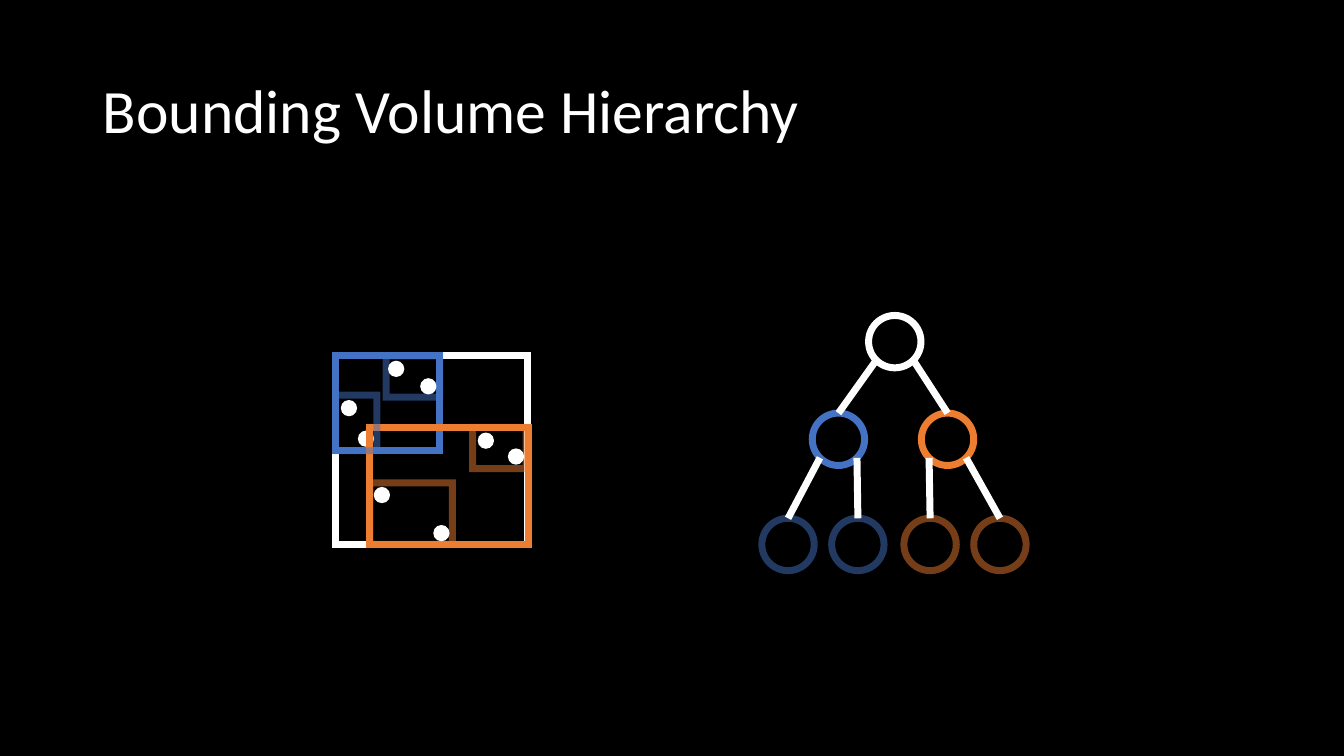
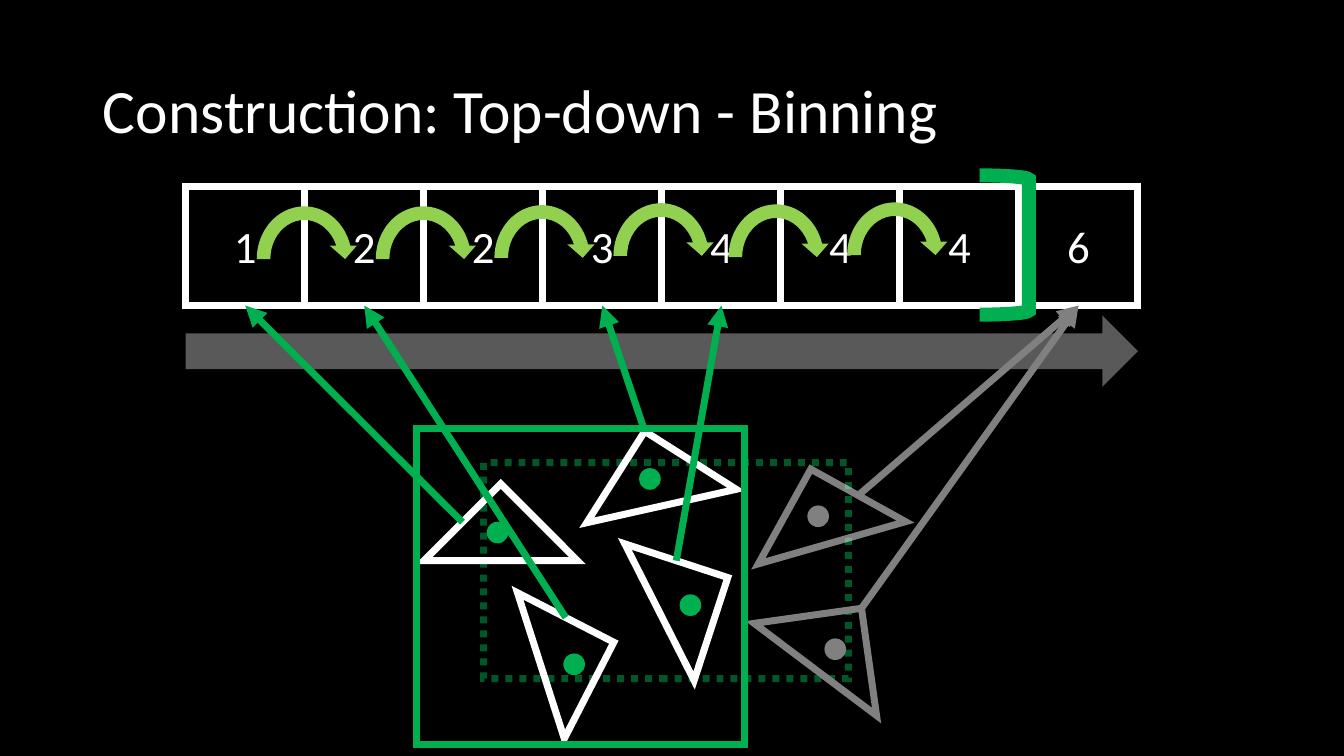
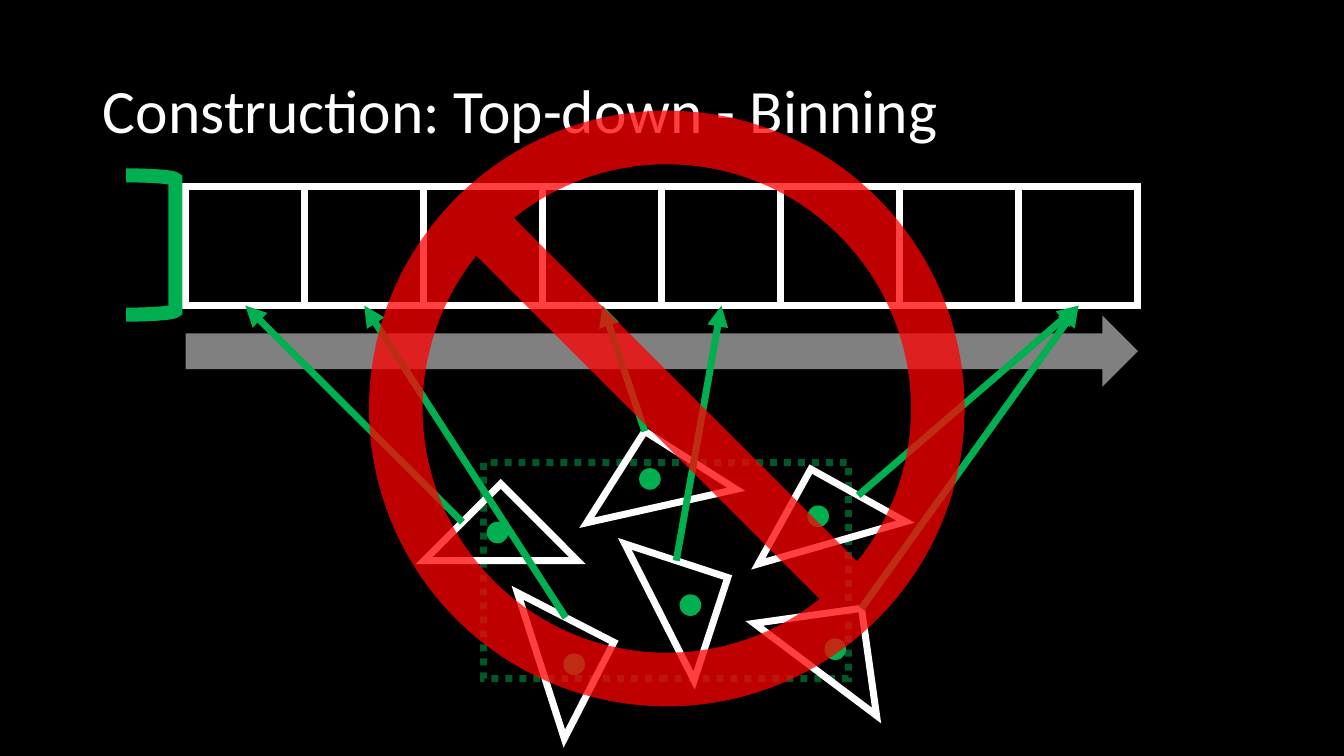
from dataclasses import dataclass
from math import cos, radians, sin, sqrt
from typing import Optional

from lxml.etree import SubElement
from pptx import Presentation
from pptx.dml.color import RGBColor
from pptx.dml.fill import FillFormat
from pptx.enum.shapes import MSO_CONNECTOR, MSO_SHAPE
from pptx.enum.text import MSO_ANCHOR, MSO_AUTO_SIZE, PP_ALIGN
from pptx.oxml.ns import qn
from pptx.shapes.autoshape import Shape
from pptx.slide import Slide
from pptx.util import Cm, Pt

BLACK, WHITE, GREY, DARK_GREY = "000000", "FFFFFF", "808080", "595959"
BLUE, ORANGE, GREEN, LIME, RED = "4472C4", "ED7D31", "00B050", "92D050", "FF0000"
FONT = "Calibri"
NODE_SIZE = 1.32
POINT_SIZE = 0.41
CELL_SIZE, CELL_LEFT, CELL_TOP, CELL_COUNT = 3.0, 4.68, 4.7, 8
TRIANGLE_WIDTH, TRIANGLE_HEIGHT = 3.86, 1.93
CENTROID_SIZE = 0.51


@dataclass(frozen=True)
class Box:
    left: float
    top: float
    width: float
    height: float


@dataclass(frozen=True)
class Stroke:
    colour: str
    width: float = 5
    alpha: int = 100
    dash: Optional[str] = None


@dataclass(frozen=True)
class TreeNode:
    left: float
    top: float
    stroke: Stroke
    parent: Optional[int] = None
    side: int = 0  # -1 leaves the parent at its lower left, 1 at its lower right


@dataclass(frozen=True)
class Primitive:
    x: float
    y: float
    rotation: float
    start: tuple[float, float]  # arrow start, from the centre before rotation
    cell: int
    muted: Optional[Stroke] = None  # outline once it lies right of the split


# Bounding volumes and their tree
DIM_BLUE, DIM_ORANGE = Stroke(BLUE, alpha=50), Stroke(ORANGE, alpha=50)
VOLUMES = [
    (Box(8.46, 8.97, 4.83, 4.75), Stroke(WHITE)),
    (Box(8.46, 8.97, 2.62, 2.39), Stroke(BLUE)),
    (Box(9.32, 10.77, 3.99, 2.95), Stroke(ORANGE)),
    (Box(9.32, 12.17, 2.08, 1.55), DIM_ORANGE),
    (Box(11.91, 10.77, 1.35, 1.04), DIM_ORANGE),
    (Box(9.73, 8.97, 1.35, 1.04), DIM_BLUE),
    (Box(8.46, 9.96, 1.04, 1.4), DIM_BLUE),
]
COVERED_POINTS = [(9.02, 10.85)]
POINTS = [(9.42, 12.27), (10.92, 13.23), (12.04, 10.9), (12.8, 11.3),
          (9.78, 9.09), (10.59, 9.53), (8.59, 10.08)]
TREE = [
    TreeNode(21.89, 7.95, Stroke(WHITE)),
    TreeNode(20.47, 10.41, Stroke(BLUE), 0, -1),
    TreeNode(23.22, 10.41, Stroke(ORANGE), 0, 1),
    TreeNode(19.2, 13.06, DIM_BLUE, 1, -1),
    TreeNode(20.96, 13.06, DIM_BLUE, 1, 1),
    TreeNode(22.78, 13.06, DIM_ORANGE, 2, -1),
    TreeNode(24.54, 13.06, DIM_ORANGE, 2, 1),
]

# Triangles that are sorted into bins
APEX = (0, -TRIANGLE_HEIGHT / 2)
LEFT_SIDE, RIGHT_SIDE = (-TRIANGLE_WIDTH / 4, 0), (TRIANGLE_WIDTH / 4, 0)
PRIMITIVES = [
    Primitive(12.62, 13.16, 0, LEFT_SIDE, 0),
    Primitive(14.55, 16.48, 72.2, LEFT_SIDE, 1),
    Primitive(16.46, 11.81, 347.4, APEX, 3),
    Primitive(17.48, 14.99, 63.1, LEFT_SIDE, 4),
    Primitive(21.13, 16.1, 37, APEX, 7, Stroke(GREY)),
    Primitive(20.7, 12.75, 344, RIGHT_SIDE, 7, Stroke(WHITE, alpha=50)),
]
COUNTS = ["1", "2", "2", "3", "4", "4", "4", "6"]
SWEEP_STEPS = [(6.3, 5.03), (9.3, 5.03), (12.29, 5.0),
               (15.29, 4.95), (18.19, 4.98), (21.18, 4.93)]


def colour(value: str) -> RGBColor:
    return RGBColor.from_string(value)


def paint(fill: FillFormat, owner, value: str, alpha: int = 100) -> None:
    """Fill solidly; owner is the XML element that holds the fill."""
    fill.solid()
    fill.fore_color.rgb = colour(value)
    if alpha < 100:
        solid = owner.find(qn("a:solidFill")).find(qn("a:srgbClr"))
        SubElement(solid, qn("a:alpha")).set("val", str(alpha * 1000))


def draw_stroke(shape, stroke: Stroke) -> None:
    shape.line.width = Pt(stroke.width)
    outline = shape._element.spPr.find(qn("a:ln"))
    paint(shape.line.fill, outline, stroke.colour, stroke.alpha)
    if stroke.dash:
        SubElement(outline, qn("a:prstDash")).set("val", stroke.dash)
    SubElement(outline, qn("a:miter")).set("lim", "800000")


def add_figure(slide: Slide, kind: MSO_SHAPE, box: Box, stroke: Optional[Stroke] = None,
               fill: Optional[str] = None, alpha: int = 100, rotation: float = 0) -> Shape:
    shape = slide.shapes.add_shape(
        kind, Cm(box.left), Cm(box.top), Cm(box.width), Cm(box.height))
    shape.shadow.inherit = False
    shape.rotation = rotation
    if fill:
        paint(shape.fill, shape._element.spPr, fill, alpha)
    else:
        shape.fill.background()
    if stroke:
        draw_stroke(shape, stroke)
    else:
        shape.line.fill.background()
    return shape


def add_link(slide: Slide, x: float, y: float, target: Shape, site: int,
             stroke: Stroke, arrow: bool = False) -> None:
    """Draw a straight line from a point to a connection site of target."""
    connector = slide.shapes.add_connector(
        MSO_CONNECTOR.STRAIGHT, Cm(x), Cm(y), Cm(x), Cm(y))
    connector.end_connect(target, site)
    draw_stroke(connector, stroke)
    properties = connector._element.spPr
    if arrow:
        SubElement(properties.find(qn("a:ln")), qn("a:tailEnd")).set("type", "triangle")
    SubElement(properties, qn("a:effectLst"))


def format_text(shape, size: float, alignment: PP_ALIGN) -> None:
    shape.text_frame.vertical_anchor = MSO_ANCHOR.MIDDLE
    paragraph = shape.text_frame.paragraphs[0]
    paragraph.alignment = alignment
    for run in paragraph.runs:
        run.font.name = FONT
        run.font.size = Pt(size)
        run.font.color.rgb = colour(WHITE)


def add_titled_slide(presentation, text: str) -> Slide:
    slide = presentation.slides.add_slide(presentation.slide_layouts[5])
    title = slide.shapes.title
    title.left, title.top, title.width, title.height = Cm(2.34), Cm(1.02), Cm(29.21), Cm(3.68)
    title.text_frame.text = text
    title.text_frame.auto_size = MSO_AUTO_SIZE.NONE
    title.text_frame.paragraphs[0].line_spacing = 0.9
    format_text(title, 44, PP_ALIGN.LEFT)
    return slide


def add_points(slide: Slide, points: list[tuple[float, float]]) -> None:
    for left, top in points:
        add_figure(slide, MSO_SHAPE.OVAL, Box(left, top, POINT_SIZE, POINT_SIZE), fill=WHITE)


def add_tree(slide: Slide) -> None:
    circles = [add_figure(slide, MSO_SHAPE.OVAL,
                          Box(node.left, node.top, NODE_SIZE, NODE_SIZE), node.stroke)
               for node in TREE]
    radius = NODE_SIZE / 2
    diagonal = radius / sqrt(2)
    for node, circle in zip(TREE, circles):
        if node.parent is not None:
            parent = TREE[node.parent]
            add_link(slide, parent.left + radius + node.side * diagonal,
                     parent.top + radius + diagonal, circle, 0, Stroke(WHITE))


def add_cells(slide: Slide, labels: list[str]) -> list[Shape]:
    cells = []
    for index, label in enumerate(labels):
        cell = add_figure(slide, MSO_SHAPE.RECTANGLE,
                          Box(CELL_LEFT + index * CELL_SIZE, CELL_TOP, CELL_SIZE, CELL_SIZE),
                          Stroke(WHITE))
        if label:
            cell.text_frame.text = label
            format_text(cell, 32, PP_ALIGN.CENTER)
        cells.append(cell)
    return cells


def add_primitive(slide: Slide, primitive: Primitive, stroke: Stroke, accent: str) -> None:
    add_figure(slide, MSO_SHAPE.ISOSCELES_TRIANGLE,
               Box(primitive.x - TRIANGLE_WIDTH / 2, primitive.y - TRIANGLE_HEIGHT / 2,
                   TRIANGLE_WIDTH, TRIANGLE_HEIGHT), stroke, rotation=primitive.rotation)
    # The centroid dot sits slightly below and left of the box centre
    add_figure(slide, MSO_SHAPE.OVAL,
               Box(primitive.x - 0.08 - CENTROID_SIZE / 2, primitive.y + 0.26 - CENTROID_SIZE / 2,
                   CENTROID_SIZE, CENTROID_SIZE), Stroke(accent, 1), accent)


def add_bin_arrow(slide: Slide, primitive: Primitive, cell: Shape, accent: str) -> None:
    angle = radians(primitive.rotation)
    dx, dy = primitive.start
    add_link(slide, primitive.x + dx * cos(angle) - dy * sin(angle),
             primitive.y + dx * sin(angle) + dy * cos(angle),
             cell, 2, Stroke(accent), arrow=True)


def add_binning_slide(presentation, labels: list[str], axis_colour: str,
                      bracket_left: float, split: bool) -> Slide:
    slide = add_titled_slide(presentation, "Construction: Top-down - Binning")
    # Centroid bounds and sweep axis
    add_figure(slide, MSO_SHAPE.RECTANGLE, Box(12.19, 11.66, 9.19, 5.44),
               Stroke(GREEN, alpha=50, dash="sysDot"))
    add_figure(slide, MSO_SHAPE.RIGHT_ARROW,
               Box(CELL_LEFT, 7.95, CELL_COUNT * CELL_SIZE, 1.8), fill=axis_colour)
    cells = add_cells(slide, labels)
    # Triangles first, then the arrows to their bins
    accents = [GREY if split and primitive.muted else GREEN for primitive in PRIMITIVES]
    for primitive, accent in zip(PRIMITIVES, accents):
        muted = primitive.muted if split else None
        add_primitive(slide, primitive, muted or Stroke(WHITE), accent)
    for primitive, accent in zip(PRIMITIVES, accents):
        add_bin_arrow(slide, primitive, cells[primitive.cell], accent)
    add_figure(slide, MSO_SHAPE.RIGHT_BRACKET, Box(bracket_left, 4.42, 1.24, 3.51),
               Stroke(GREEN, 10))
    return slide


def build_hierarchy(presentation) -> None:
    slide = add_titled_slide(presentation, "Bounding Volume Hierarchy")
    add_points(slide, COVERED_POINTS)
    for box, stroke in VOLUMES:
        add_figure(slide, MSO_SHAPE.RECTANGLE, box, stroke)
    add_tree(slide)
    add_points(slide, POINTS)


def build_sweep(presentation) -> None:
    slide = add_binning_slide(presentation, COUNTS, DARK_GREY, 24.69, split=True)
    for left, top in SWEEP_STEPS:
        add_figure(slide, MSO_SHAPE.CIRCULAR_ARROW, Box(left, top, 2.74, 3.0), fill=LIME)
    # Bounds of the left partition
    add_figure(slide, MSO_SHAPE.RECTANGLE, Box(10.49, 10.8, 8.28, 7.95), Stroke(GREEN))


def build_rejection(presentation) -> None:
    slide = add_binning_slide(presentation, [""] * CELL_COUNT, GREY, 3.18, split=False)
    sign = add_figure(slide, MSO_SHAPE.NO_SYMBOL, Box(9.3, 2.79, 15.01, 15.01),
                      fill=RED, alpha=75)
    sign.adjustments[0] = 0.09


def main() -> None:
    presentation = Presentation()
    presentation.slide_width, presentation.slide_height = Cm(33.87), Cm(19.05)
    background = presentation.slide_master.background.fill
    background.solid()
    background.fore_color.rgb = colour(BLACK)
    build_hierarchy(presentation)
    build_sweep(presentation)
    build_rejection(presentation)
    presentation.save("out.pptx")


if __name__ == "__main__":
    main()
